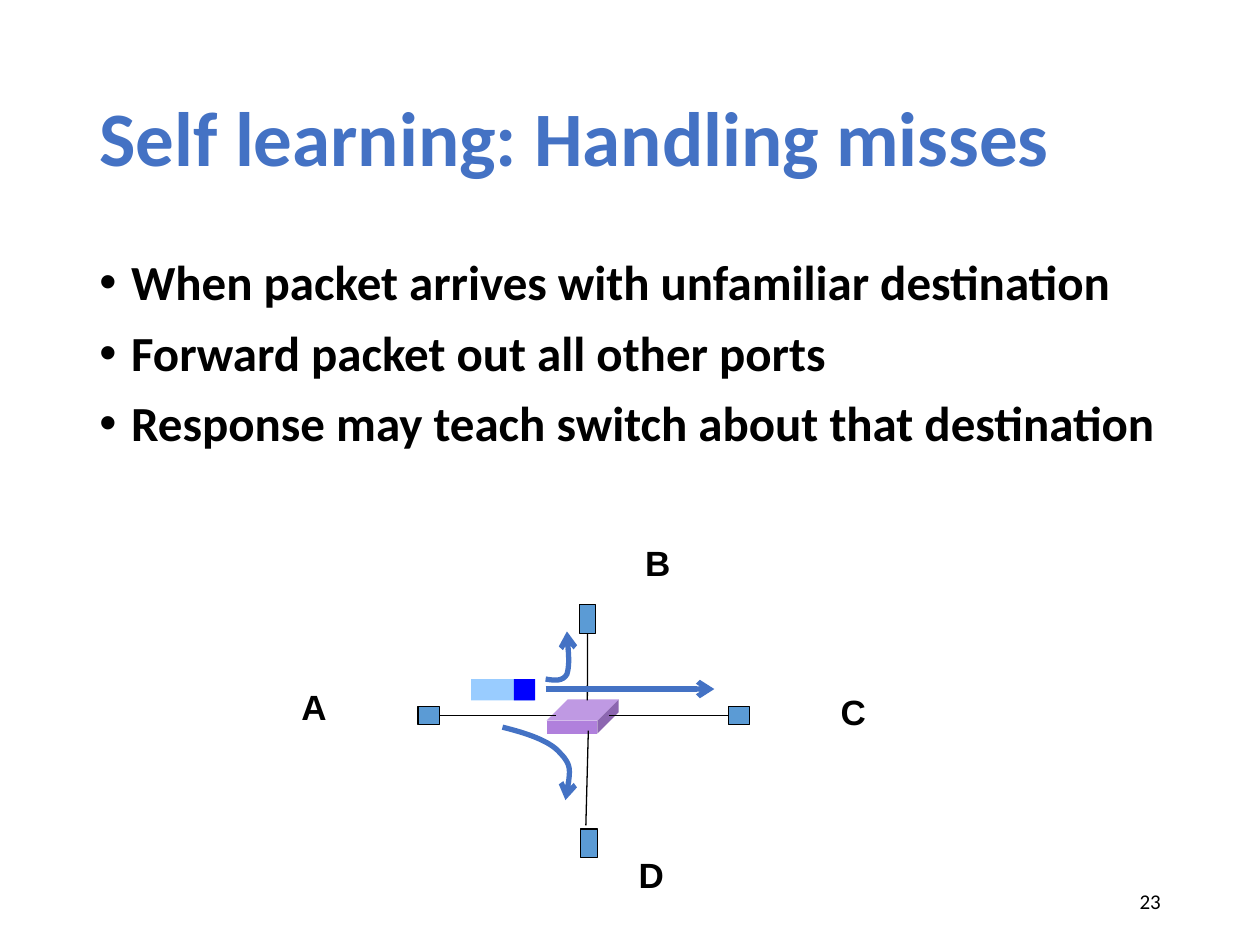
from dataclasses import dataclass

from lxml import etree
from pptx import Presentation
from pptx.dml.color import RGBColor
from pptx.enum.shapes import MSO_CONNECTOR, MSO_SHAPE
from pptx.enum.text import MSO_ANCHOR, MSO_AUTO_SIZE, PP_ALIGN
from pptx.oxml.ns import qn
from pptx.util import Cm, Pt

RECT, CUBE = MSO_SHAPE.RECTANGLE, MSO_SHAPE.CUBE
STRAIGHT = MSO_CONNECTOR.STRAIGHT
MIDDLE, TOP = MSO_ANCHOR.MIDDLE, MSO_ANCHOR.TOP
LEFT, CENTER, RIGHT = PP_ALIGN.LEFT, PP_ALIGN.CENTER, PP_ALIGN.RIGHT
NO_FIT = MSO_AUTO_SIZE.NONE

COLORS = {
    "accent": "4472C4",
    "text": "000000",
    "host": "5B9BD5",
    "switch": "B080DC",
    "payload": "99CCFF",
    "header": "0000FF",
}
TITLE_FONT = {"name": "Calibri", "size": Pt(44), "bold": True}
BODY_FONT = {"name": "Calibri", "size": Pt(28), "bold": True}
LABEL_FONT = {"name": "Arial", "size": Pt(20), "bold": True}
NUMBER_FONT = {"name": "Calibri", "size": Pt(12), "bold": False}
BULLETS = [
    "When packet arrives with unfamiliar destination",
    "Forward packet out all other ports",
    "Response may teach switch about that destination",
]


@dataclass
class Host:
    name: str
    box: tuple[float, float, float, float]
    label: tuple[float, float]
    link: tuple[float, float, float, float]
    site: int | None


HOSTS = [
    Host("A", (8.43, 14.25, 0.43, 0.36), (5.82, 13.69), (8.86, 14.43, 11.2, 14.43), 3),
    Host("B", (11.68, 12.19, 0.33, 0.58), (12.75, 10.8), (11.84, 12.77, 11.84, 14.12), 2),
    Host("C", (14.68, 14.25, 0.43, 0.36), (16.69, 13.79), (14.68, 14.43, 12.27, 14.43), 1),
    Host("D", (11.71, 16.71, 0.33, 0.58), (12.62, 17.09), (11.81, 16.64, 11.86, 14.73), None),
]
CURVES = [
    [(11, 13.69), (11.18, 13.72), (11.35, 13.74), (11.43, 13.59),
     (11.48, 13.41), (11.46, 13.08), (11.43, 12.73)],
    [(10.13, 14.66), (10.62, 14.78), (11.1, 14.94), (11.3, 15.19),
     (11.53, 15.42), (11.48, 15.77), (11.4, 16.13)],
]


def rgb(key: str) -> RGBColor:
    return RGBColor.from_string(COLORS[key])


def place(s, box: tuple) -> None:
    for attr, value in zip(("left", "top", "width", "height"), box):
        setattr(s, attr, Cm(value))


def write(p, text: str, font: dict, color: str, align=LEFT) -> None:
    p.alignment = align
    r = p.add_run()
    r.text = text
    for attr, value in font.items():
        setattr(r.font, attr, value)
    r.font.color.rgb = rgb(color)


def add_block(shapes, kind, box: tuple, fill: str, outlined: bool = False):
    s = shapes.add_shape(kind, *map(Cm, box))
    s.shadow.inherit = False
    s.fill.solid()
    s.fill.fore_color.rgb = rgb(fill)
    if outlined:
        style_line(s, "text", 0.75)
    else:
        s.line.fill.background()
    return s


def add_text(shapes, box: tuple, text: str, font: dict, align, anchor=TOP) -> None:
    tf = shapes.add_textbox(*map(Cm, box)).text_frame
    tf.word_wrap = True
    tf.vertical_anchor = anchor
    write(tf.paragraphs[0], text, font, "text", align)


def style_line(s, color: str, width: float, arrow: bool = False) -> None:
    s.line.color.rgb = rgb(color)
    s.line.width = Pt(width)
    if arrow:
        ln = s.line._get_or_add_ln()
        etree.SubElement(ln, qn("a:tailEnd"), type="arrow")


def add_line(shapes, ends: tuple, color: str, width: float, arrow: bool = False):
    s = shapes.add_connector(STRAIGHT, *map(Cm, ends))
    style_line(s, color, width, arrow)
    etree.SubElement(s._element.spPr, qn("a:effectLst"))
    return s


def add_curve(shapes, points: list[tuple]) -> None:
    start, *rest = [(Cm(x), Cm(y)) for x, y in points]
    builder = shapes.build_freeform(*start)
    builder.add_line_segments(rest, close=False)
    s = builder.convert_to_shape()
    s.shadow.inherit = False
    s.fill.background()
    style_line(s, "accent", 3, arrow=True)
    path = next(s._element.iter(qn("a:path")))
    segments = path.findall(qn("a:lnTo"))
    for i in range(0, len(segments), 3):
        bezier = etree.SubElement(path, qn("a:cubicBezTo"))
        for segment in segments[i:i + 3]:
            bezier.append(segment[0])
            path.remove(segment)


def add_title(slide) -> None:
    title = slide.shapes.title
    place(title, (1.75, 1.02, 21.9, 3.68))
    tf = title.text_frame
    tf.auto_size = NO_FIT
    tf.vertical_anchor = MIDDLE
    p = tf.paragraphs[0]
    p.line_spacing = 0.9
    write(p, "Self learning: Handling misses", TITLE_FONT, "accent")


def add_bullets(slide) -> None:
    body = slide.placeholders[1]
    place(body, (1.75, 5.08, 21.9, 12.09))
    tf = body.text_frame
    tf.auto_size = NO_FIT
    for i, text in enumerate(BULLETS):
        p = tf.add_paragraph() if i else tf.paragraphs[0]
        pPr = p._p.get_or_add_pPr()
        pPr.set("marL", str(Cm(0.64)))
        pPr.set("indent", str(-Cm(0.64)))
        etree.SubElement(pPr, qn("a:buFont"), typeface="Arial")
        etree.SubElement(pPr, qn("a:buChar"), char="•")
        p.line_spacing = 0.9
        p.space_before = Pt(10 if i else 0)
        write(p, text, BODY_FONT, "text")


def add_network(shapes) -> None:
    switch = add_block(shapes, CUBE, (11.02, 14.1, 1.45, 0.69), "switch")
    switch.adjustments[0] = 0.62
    for host in HOSTS:
        s = add_block(shapes, RECT, host.box, "host", outlined=True)
        link = add_line(shapes, host.link, "text", 0.75)
        if host.site is not None:
            link.begin_connect(s, host.site)
        add_text(shapes, (*host.label, 1.02, 1.09), host.name, LABEL_FONT, CENTER)
    add_block(shapes, RECT, (9.5, 13.69, 1.27, 0.43), "payload")
    add_block(shapes, RECT, (10.36, 13.69, 0.43, 0.43), "header")
    for points in CURVES:
        add_curve(shapes, points)
    add_line(shapes, (11, 13.89, 14.4, 13.89), "accent", 3, arrow=True)


def main() -> None:
    prs = Presentation()
    prs.slide_width, prs.slide_height = Cm(25.4), Cm(19.05)
    slide = prs.slides.add_slide(prs.slide_layouts[1])
    add_title(slide)
    add_bullets(slide)
    add_network(slide.shapes)
    add_text(slide.shapes, (17.93, 17.65, 5.72, 1.02), "23", NUMBER_FONT, RIGHT, MIDDLE)
    prs.save("out.pptx")


if __name__ == "__main__":
    main()
